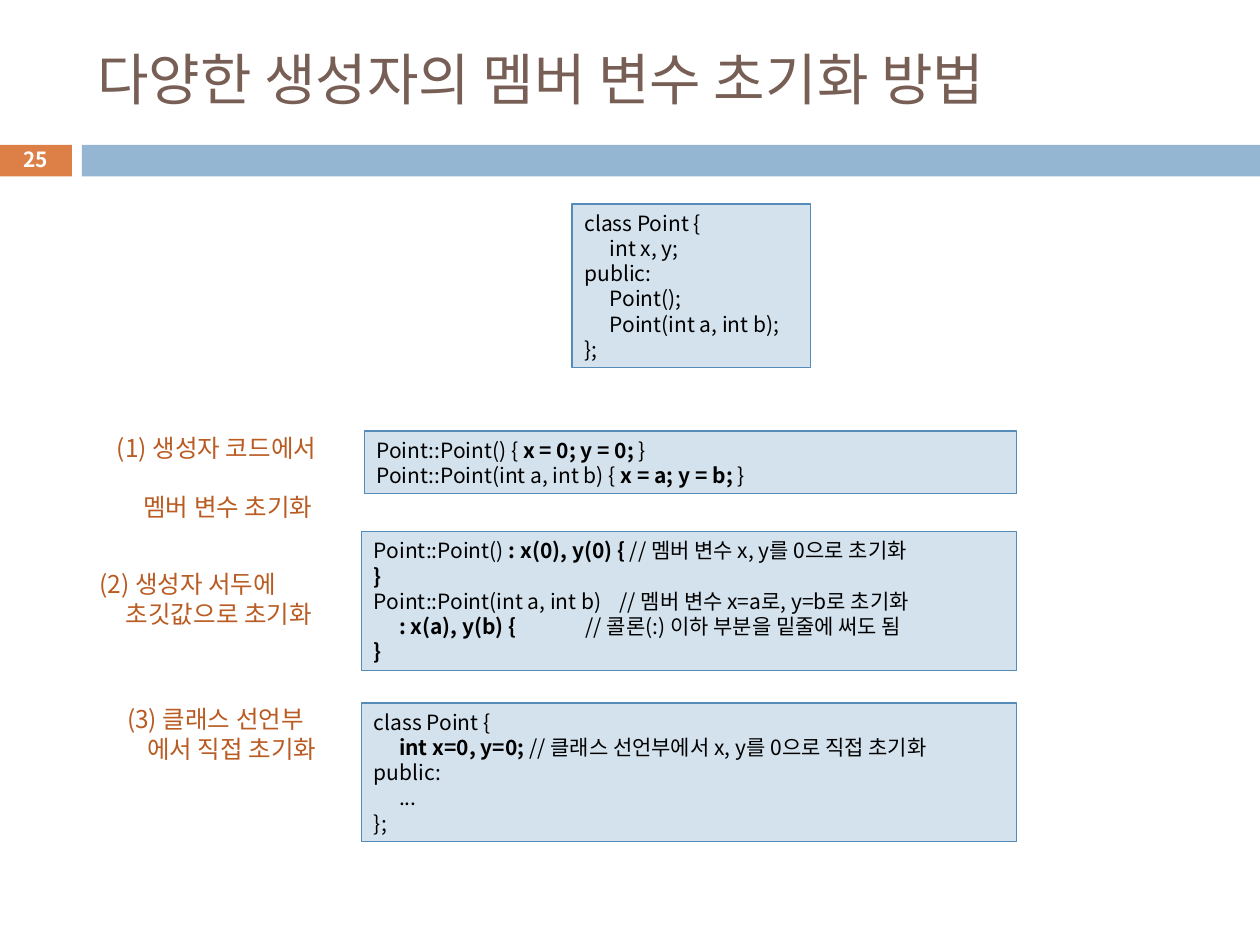
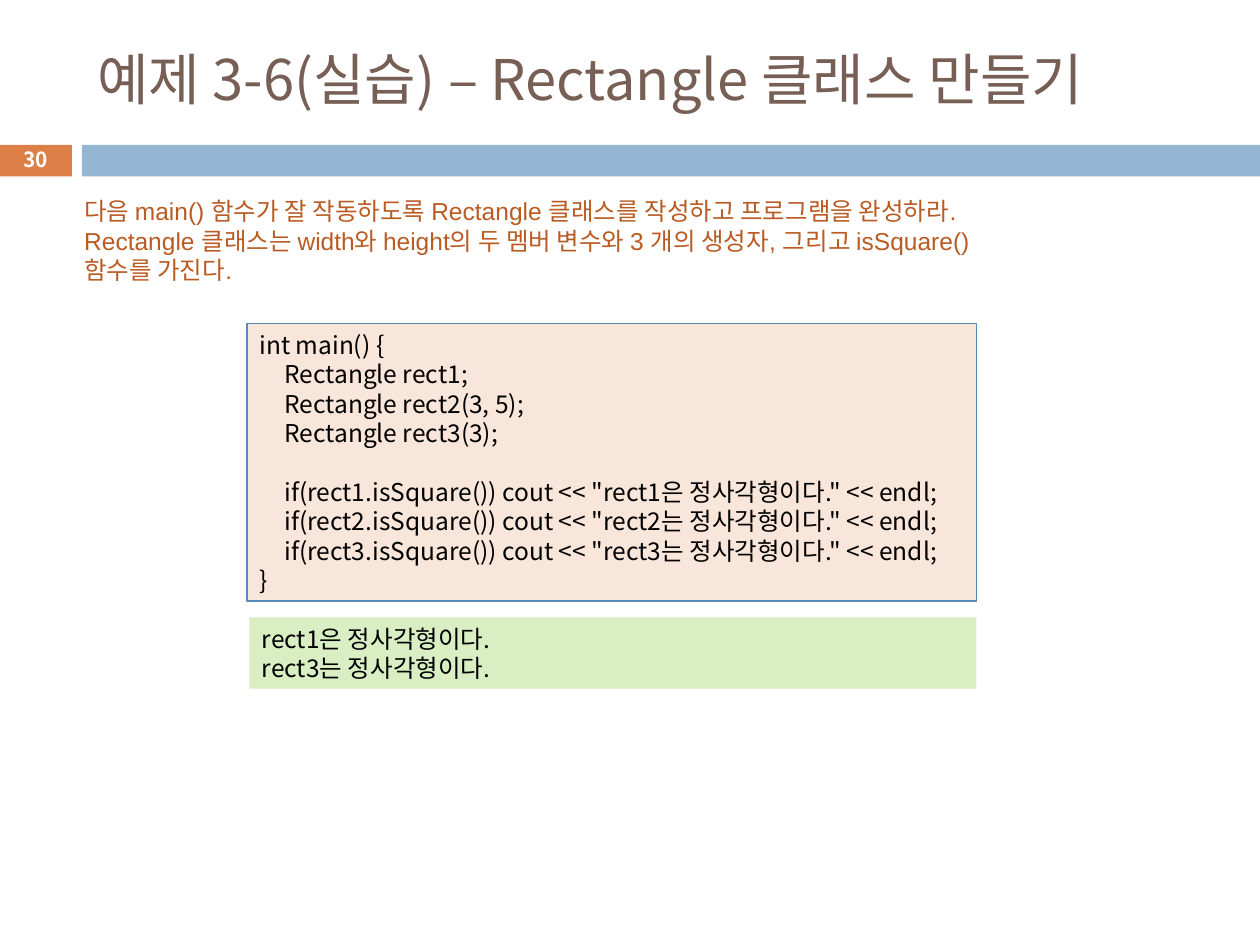
import pptx
import pptx.dml.color
import pptx.enum.shapes
import pptx.enum.text
import pptx.util
from lxml import etree
from pptx.oxml.ns import qn

RGBColor = pptx.dml.color.RGBColor
Inches, Pt = pptx.util.Inches, pptx.util.Pt
MIDDLE = pptx.enum.text.MSO_ANCHOR.MIDDLE
LEFT, CENTER = pptx.enum.text.PP_ALIGN.LEFT, pptx.enum.text.PP_ALIGN.CENTER

FONT = "Noto Sans CJK KR"
BROWN = RGBColor(0x77, 0x5F, 0x55)
ORANGE = RGBColor(0xDD, 0x80, 0x47)
BLUE = RGBColor(0x94, 0xB6, 0xD2)
PALE_BLUE = RGBColor(0xD4, 0xE2, 0xED)
PALE_ORANGE = RGBColor(0xF8, 0xE6, 0xDA)
PALE_GREEN = RGBColor(0xDA, 0xEE, 0xC4)
EDGE = RGBColor(0x55, 0x8B, 0xB8)
RUST = RGBColor(0xB9, 0x5B, 0x22)
BLACK = RGBColor(0, 0, 0)
WHITE = RGBColor(255, 255, 255)

LINE_FACTOR = 1.2
INSET_Y = 0.05
CODE_TABS = (0.2,)
COMMENT_TABS = (0.2, 1.68, 1.95)

# Text between ** marks is bold.
CLASS_CODE = ["class Point {", "\tint x, y;", "public:", "\tPoint();",
              "\tPoint(int a, int b);", "};"]
# left, top, width, tab stops, lines
INIT_CODES = [
    (2.89, 3.42, 5.18, CODE_TABS, [
        "Point::Point() { **x = 0; y = 0; **}",
        "Point::Point(int a, int b) { **x = a; y = b; **}"]),
    (2.87, 4.22, 5.2, COMMENT_TABS, [
        "Point::Point()** : x(0), y(0) {** // 멤버 변수 x, y를 0으로 초기화",
        "**}**",
        "Point::Point(int a, int b)\t// 멤버 변수 x=a로, y=b로 초기화",
        "\t**: x(a), y(b) {**\t// 콜론(:) 이하 부분을 밑줄에 써도 됨",
        "**}**"]),
    (2.87, 5.58, 5.2, CODE_TABS, [
        "class Point {",
        "\t**int x=0, y=0; **// 클래스 선언부에서 x, y를 0으로 직접 초기화",
        "public:", "\t...", "};"]),
]
# left, top, width, indent of second line, space before it in points, lines
METHOD_LABELS = [
    (0.83, 3.39, 1.99, 0.21, 16.8, ["(1) 생성자 코드에서", "멤버 변수 초기화"]),
    (0.69, 4.47, 2.13, 0.21, 0, ["(2) 생성자 서두에", "초깃값으로 초기화"]),
    (0.91, 5.54, 1.91, 0.16, 0, ["(3) 클래스 선언부", "에서 직접 초기화"]),
]
TASK = ["다음 main() 함수가 잘 작동하도록 Rectangle 클래스를 작성하고 프로그램을 완성하라.",
        "Rectangle 클래스는 width와 height의 두 멤버 변수와 3 개의 생성자, "
        "그리고 isSquare() 함수를 가진다."]
MAIN_CODE = [
    "int main() {", "\tRectangle rect1;", "\tRectangle rect2(3, 5);",
    "\tRectangle rect3(3);", "",
    '\tif(rect1.isSquare()) cout << "rect1은 정사각형이다." << endl;',
    '\tif(rect2.isSquare()) cout << "rect2는 정사각형이다." << endl;',
    '\tif(rect3.isSquare()) cout << "rect3는 정사각형이다." << endl;',
    "}"]
OUTPUT = ["rect1은 정사각형이다.", "rect3는 정사각형이다."]


def style_run(r, size, color, bold=False, font=FONT):
    r.font.size, r.font.name, r.font.bold = Pt(size), font, bold
    r.font.color.rgb = color
    ea = etree.SubElement(r.font._element, qn("a:ea"))
    ea.set("typeface", FONT)


def add_tabs(p, stops):
    tabs = etree.SubElement(p._p.get_or_add_pPr(), qn("a:tabLst"))
    for stop in stops:
        etree.SubElement(tabs, qn("a:tab"), pos=str(Inches(stop)), algn="l")


def write_lines(sp, lines, size, color, tabs=(), font=FONT):
    """Fill a shape with one paragraph per line, switching bold at each ** mark."""
    tf = sp.text_frame
    tf.word_wrap = True
    tf.vertical_anchor = pptx.enum.text.MSO_ANCHOR.TOP
    tf.margin_left = tf.margin_right = Inches(0.1)
    tf.margin_top = tf.margin_bottom = Inches(INSET_Y)
    for i, line in enumerate(lines):
        p = tf.add_paragraph() if i else tf.paragraphs[0]
        p.alignment = LEFT
        p.line_spacing = Pt(size * LINE_FACTOR)
        if tabs:
            add_tabs(p, tabs)
        for j, part in enumerate(line.split("**")):
            if part:
                r = p.add_run()
                r.text = part
                style_run(r, size, color, j % 2 == 1, font)


def text_height(line_count, size):
    return Inches(line_count * size * LINE_FACTOR / 72 + 2 * INSET_Y)


def add_rect(s, left, top, width, height, fill, edge=None):
    sp = s.shapes.add_shape(pptx.enum.shapes.MSO_SHAPE.RECTANGLE,
                            Inches(left), Inches(top), Inches(width), height)
    sp.shadow.inherit = False
    sp.fill.solid()
    sp.fill.fore_color.rgb = fill
    if edge is None:
        sp.line.fill.background()
    else:
        sp.line.color.rgb = edge
        sp.line.width = Pt(0.75)
    return sp


def add_panel(s, left, top, width, lines, size, fill, edge=EDGE, tabs=CODE_TABS):
    sp = add_rect(s, left, top, width, text_height(len(lines), size), fill, edge)
    write_lines(sp, lines, size, BLACK, tabs)


def add_note(s, left, top, width, lines, line_count, font=FONT):
    sp = s.shapes.add_textbox(Inches(left), Inches(top), Inches(width),
                              text_height(line_count, 14))
    write_lines(sp, lines, 14, RUST, font=font)
    return sp


def add_slide(prs, title, number):
    """Add a slide with its title, the two bands and the page number."""
    s = prs.slides.add_slide(prs.slide_layouts[5])
    add_rect(s, -0.01, 1.15, 0.58, Inches(0.25), ORANGE)
    add_rect(s, 0.65, 1.15, 9.35, Inches(0.25), BLUE)

    sp = s.shapes.title
    sp.left, sp.top, sp.width, sp.height = map(Inches, (0.67, 0.25, 8.92, 0.74))
    page = s.shapes.add_textbox(Inches(-0.01), Inches(1.13), Inches(0.58), Inches(0.27))
    page.text_frame.margin_top = page.text_frame.margin_bottom = 0
    for box, text, size, color, bold, align in (
            (sp, title, 32, BROWN, False, LEFT),
            (page, str(number), 11.9, WHITE, True, CENTER)):
        tf = box.text_frame
        tf.text = text
        tf.word_wrap = True
        tf.auto_size = pptx.enum.text.MSO_AUTO_SIZE.NONE
        tf.vertical_anchor = MIDDLE
        tf.paragraphs[0].alignment = align
        style_run(tf.paragraphs[0].runs[0], size, color, bold)
    return s


def build_initialization(prs):
    s = add_slide(prs, "다양한 생성자의 멤버 변수 초기화 방법", 25)
    add_panel(s, 4.54, 1.62, 1.89, CLASS_CODE, 12, PALE_BLUE)
    for label, code in zip(METHOD_LABELS, INIT_CODES):
        left, top, width, indent, gap, lines = label
        sp = add_note(s, left, top, width, lines, len(lines))
        p = sp.text_frame.paragraphs[1]
        p.space_before = Pt(gap)
        p._p.get_or_add_pPr().set("marL", str(Inches(indent)))
        left, top, width, tabs, lines = code
        add_panel(s, left, top, width, lines, 12, PALE_BLUE, tabs=tabs)


def build_rectangle_exercise(prs):
    s = add_slide(prs, "예제 3-6(실습) – Rectangle 클래스 만들기", 30)
    add_note(s, 0.57, 1.51, 7.8, TASK, 3, font="Arial")
    add_panel(s, 1.96, 2.57, 5.79, MAIN_CODE, 14, PALE_ORANGE)
    add_panel(s, 1.98, 4.9, 5.77, OUTPUT, 14, PALE_GREEN, edge=None)


def main():
    prs = pptx.Presentation()
    prs.slide_width, prs.slide_height = Inches(10), Inches(7.5)
    build_initialization(prs)
    build_rectangle_exercise(prs)
    prs.save("out.pptx")


if __name__ == "__main__":
    main()
